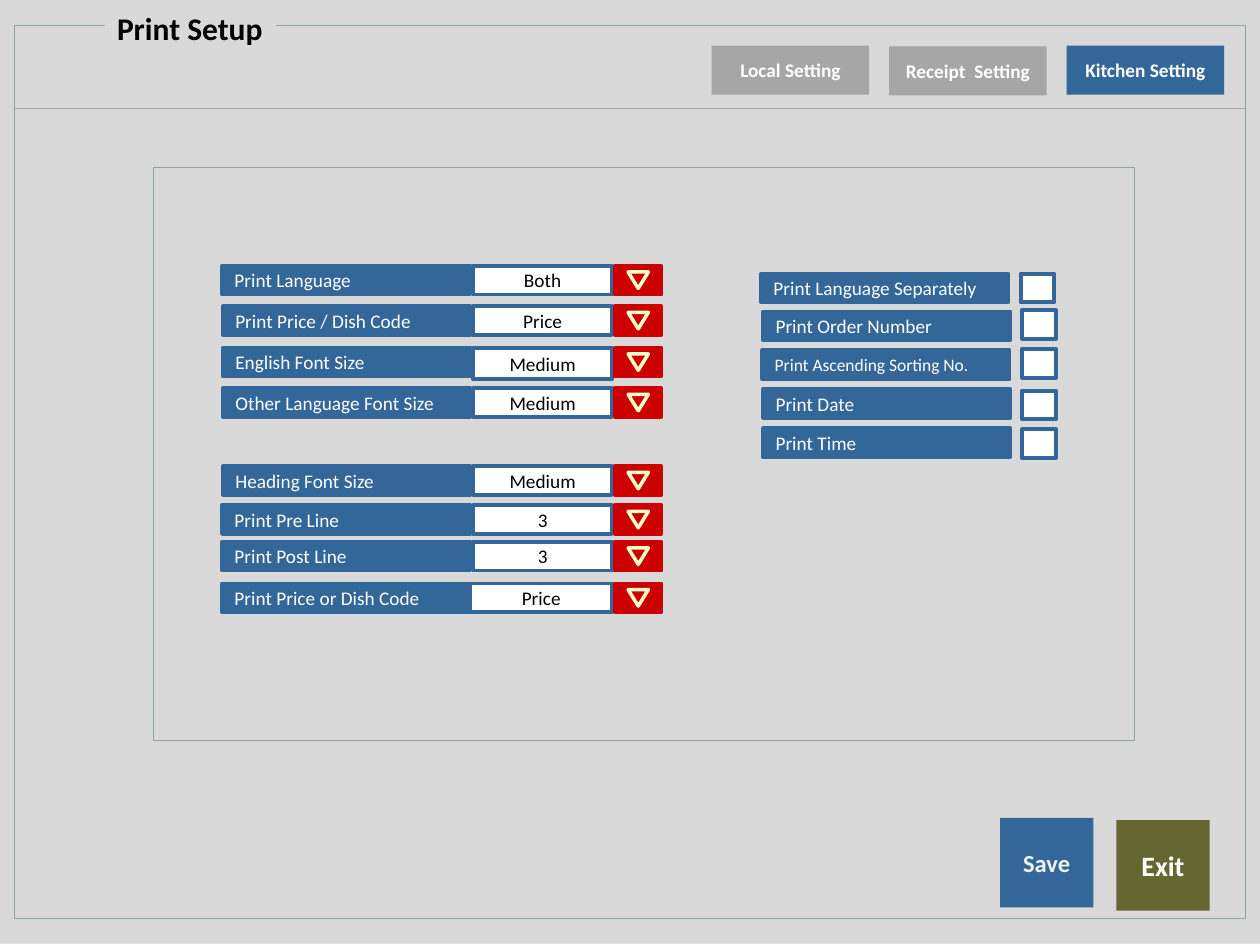
"""Build the Print Setup screen for kitchen printing."""
from lxml import etree
from pptx import Presentation
from pptx.dml.color import RGBColor
from pptx.enum import shapes, text
from pptx.oxml.ns import qn
from pptx.util import Pt

COLORS = {
    "page": "D9D9D9", "frame": "89A4A7", "blue": "336699", "grey": "A6A6A6",
    "red": "CC0000", "cream": "FFFFCC", "olive": "666633",
    "white": "FFFFFF", "pale": "F2F2F2", "black": "000000",
}
RECT = shapes.MSO_SHAPE.RECTANGLE
TRIANGLE = shapes.MSO_SHAPE.ISOSCELES_TRIANGLE


def box(parent, left, top, width, height, fill=None, line=None, weight=2.25, kind=RECT):
    shape = parent.add_shape(kind, Pt(left), Pt(top), Pt(width), Pt(height))
    shape.shadow.inherit = False
    if fill:
        shape.fill.solid()
        shape.fill.fore_color.rgb = RGBColor.from_string(COLORS[fill])
    else:
        shape.fill.background()
    if line:
        shape.line.color.rgb = RGBColor.from_string(COLORS[line])
        shape.line.width = Pt(weight)
    else:
        shape.line.fill.background()
    return shape


def write(shape, words, size=11, color="white", bold=False, align="LEFT", anchor="MIDDLE"):
    frame = shape.text_frame
    frame.word_wrap = False
    frame.vertical_anchor = text.MSO_ANCHOR[anchor]
    paragraph = frame.paragraphs[0]
    paragraph.alignment = text.PP_ALIGN[align]
    run = paragraph.add_run()
    run.text = words
    run.font.name = "Calibri"
    run.font.size = Pt(size)
    run.font.bold = bold
    run.font.color.rgb = RGBColor.from_string(COLORS[color])


deck = Presentation()
deck.slide_width, deck.slide_height = Pt(720), Pt(540)
screen = deck.slides.add_slide(deck.slide_layouts[6]).shapes

box(screen, 0, -0.7, 720, 540, "page")
box(screen, 8.4, 14.4, 703.2, 510.4, line="frame", weight=0.5)
title = box(screen, 59.8, 1.4, 97.9, 29, "page")
write(title, "Print Setup", size=18, color="black", bold=True, anchor="TOP")
title.text_frame.auto_size = text.MSO_AUTO_SIZE.SHAPE_TO_FIT_TEXT

divider = screen.add_connector(shapes.MSO_CONNECTOR.STRAIGHT, Pt(8.4), Pt(61.9), Pt(711.6), Pt(61.9))
divider.line.color.rgb = RGBColor.from_string(COLORS["grey"])
divider.line.width = Pt(0.75)
etree.SubElement(divider.line._get_or_add_ln().getparent(), qn("a:effectLst"))
box(screen, 87.6, 95.6, 560.6, 327.6, line="frame", weight=0.5)

tabs = [("Local Setting", 26.1, "grey"), ("Receipt  Setting", 26.5, "grey"), ("Kitchen Setting", 26.1, "blue")]
for column, (caption, top, fill) in enumerate(tabs):
    tab = box(screen, 406.7 + 101.4 * column, top, 90, 28, fill)
    write(tab, caption, bold=True, align="CENTER")

dropdowns = [
    ("Print Language", "Both", 151.9, 126.9),
    ("Print Price / Dish Code", "Price", 175, 127.4),
    ("English Font Size", "Medium", 198.7, 127.4),
    ("Other Language Font Size", "Medium", 221.8, 127.4),
    ("Heading Font Size", "Medium", 266.4, 127.4),
    ("Print Pre Line", "3", 288.7, 126.9),
    ("Print Post Line", "3", 309.6, 126.9),
    ("Print Price or Dish Code", "Price", 333.4, 126.9),
]
for caption, choice, top, left in dropdowns:
    value_left = 268.9 if caption == "Print Price or Dish Code" else 270.5
    value_height = 18 if caption == "English Font Size" else 16.4
    value = box(screen, value_left, top, 349.7 - value_left, value_height, "white", "blue")
    write(value, choice, color="black", align="CENTER")
    label = box(screen, left, top, 268.9 - left, 16.4, "blue", "blue")
    write(label, caption)
    button = screen.add_group_shape().shapes
    box(button, 351.4, top, 26.6, 16.4, "red", "red")
    arrow = box(button, 358.9, top + 3.5, 11.6, 9.4, "red", "cream", 2, TRIANGLE)
    arrow.rotation = 180

options = [
    ("Print Language Separately", 434.9, 156.4, 583.2, 156.4, 11),
    ("Print Order Number", 436.1, 178, 583.9, 177.1, 11),
    ("Print Ascending Sorting No.", 435.6, 200.2, 583.9, 199.4, 10),
    ("Print Date", 436.1, 222.3, 583.9, 223.2, 11),
    ("Print Time", 436.1, 244.8, 583.9, 245.4, 11),
]
for caption, left, top, check_left, check_top, size in options:
    label = box(screen, left, top, 141.3, 16.4, "blue", "blue")
    write(label, caption, size=size)
    box(screen, check_left, check_top, 19.4, 16.4, "white", "blue")

save = box(screen, 571.5, 467.4, 53.3, 51.2, "blue")
write(save, "Save", size=14, color="pale", bold=True, align="CENTER")
leave = box(screen, 637.9, 468.6, 53.3, 51.8, "olive")
write(leave, "Exit", size=16, bold=True, align="CENTER")

deck.save("out.pptx")
